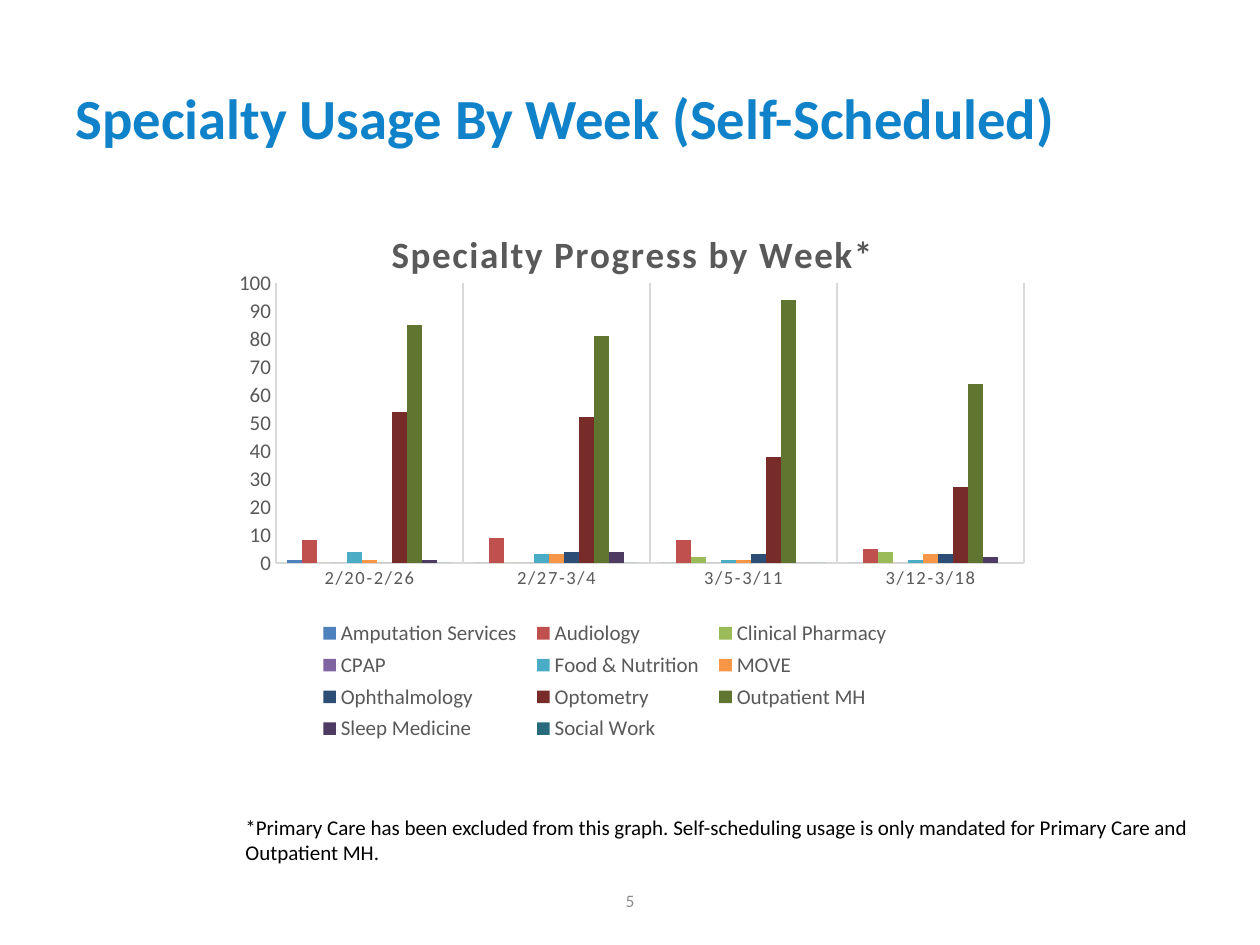
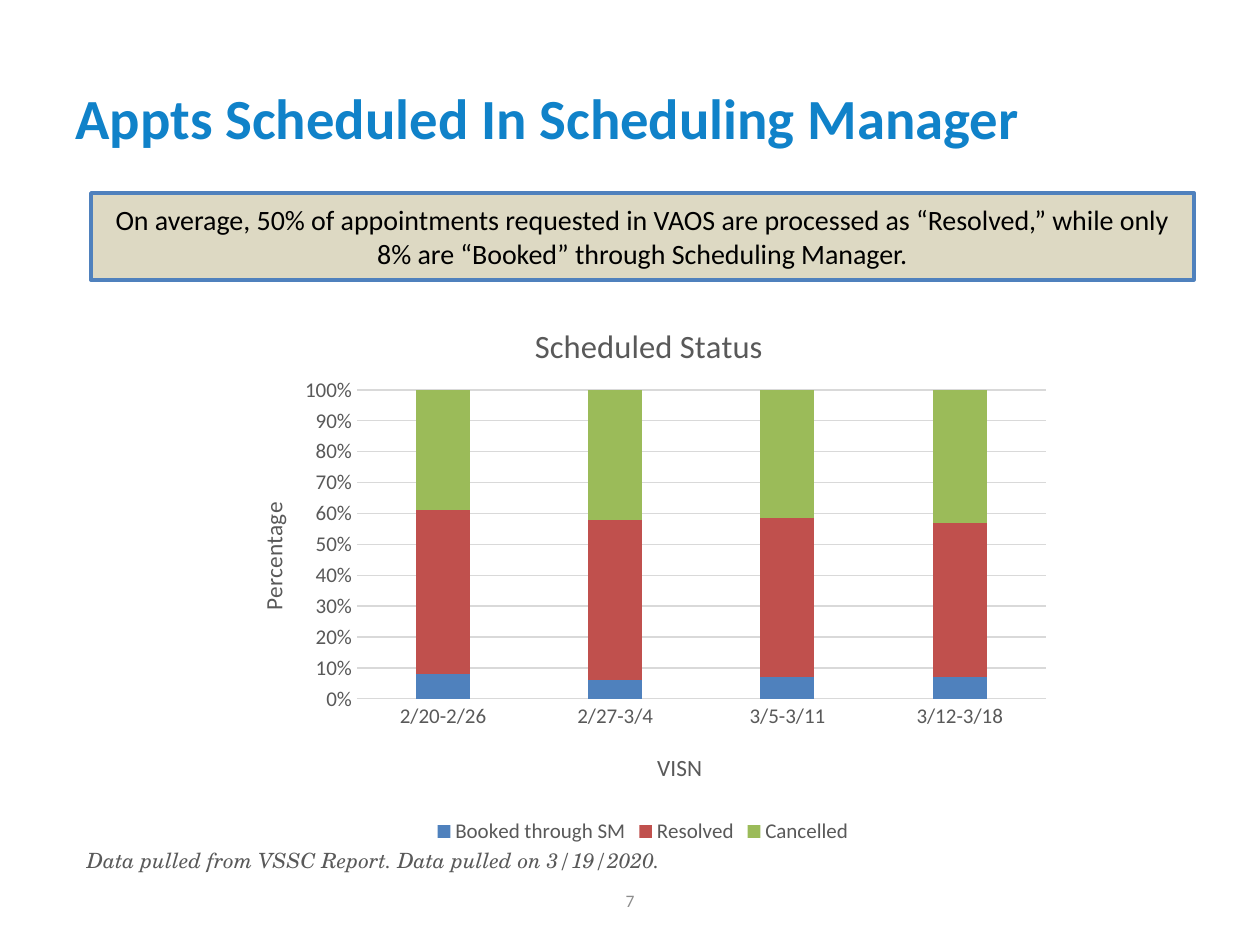
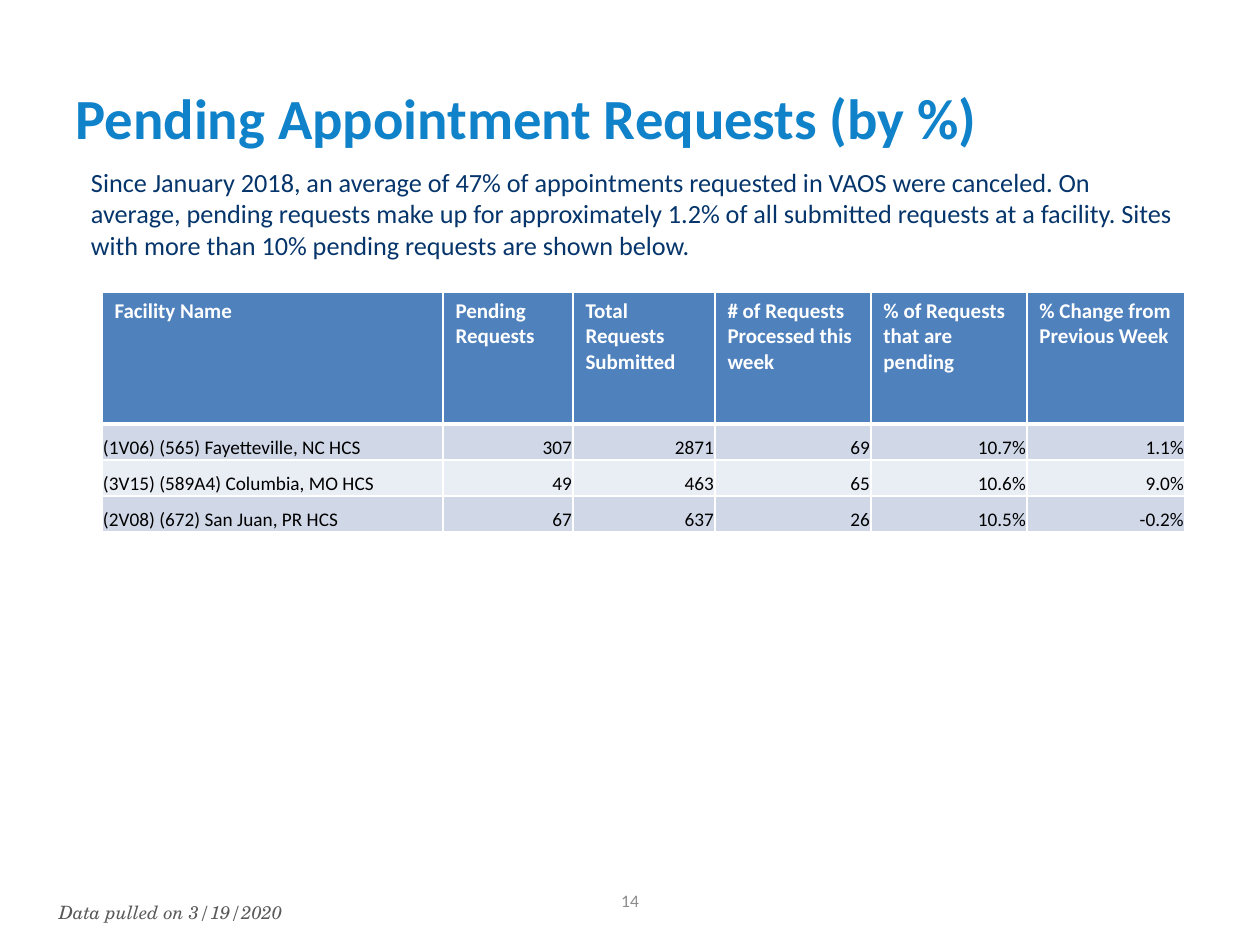
from pptx import Presentation
from pptx.chart.data import CategoryChartData
from pptx.dml.color import RGBColor
from pptx.enum.chart import XL_CHART_TYPE as ChartType
from pptx.enum.chart import XL_LEGEND_POSITION as LegendPosition
from pptx.enum.chart import XL_TICK_MARK as TickMark
from pptx.enum.shapes import MSO_SHAPE as Shape
from pptx.enum.text import MSO_ANCHOR as Anchor
from pptx.enum.text import MSO_AUTO_SIZE as AutoSize
from pptx.enum.text import PP_ALIGN as Align
from pptx.oxml import parse_xml
from pptx.oxml.ns import nsdecls, qn
from pptx.oxml.xmlchemy import OxmlElement
from pptx.util import Emu, Pt

EMU_PER_PX = 914400 / 126
SLIDE_SIZE = (1260, 945)
TITLE_LAYOUT, BODY_LAYOUT = 5, 1

SANS = "Calibri"
SERIF = "TeX Gyre Schola"

BLACK = RGBColor(0x00, 0x00, 0x00)
WHITE = RGBColor(0xFF, 0xFF, 0xFF)
TITLE_BLUE = RGBColor(0x10, 0x82, 0xC9)
NAVY = RGBColor(0x06, 0x35, 0x6B)
GRAY = RGBColor(0x59, 0x59, 0x59)
PAGE_GRAY = RGBColor(0x8C, 0x8C, 0x8C)
RULE_GRAY = RGBColor(0xD9, 0xD9, 0xD9)
TAN = RGBColor(0xDD, 0xD9, 0xC3)
BLUE = RGBColor(0x4F, 0x81, 0xBD)
BAND_DARK = RGBColor(0xD0, 0xD8, 0xE8)
BAND_LIGHT = RGBColor(0xE9, 0xED, 0xF4)
SERIES_COLORS = [
    BLUE,
    RGBColor(0xC0, 0x50, 0x4D),
    RGBColor(0x9B, 0xBB, 0x59),
    RGBColor(0x80, 0x64, 0xA2),
    RGBColor(0x4B, 0xAC, 0xC6),
    RGBColor(0xF7, 0x96, 0x46),
    RGBColor(0x2C, 0x4D, 0x75),
    RGBColor(0x77, 0x2C, 0x2A),
    RGBColor(0x5F, 0x75, 0x30),
    RGBColor(0x4D, 0x3B, 0x62),
    RGBColor(0x27, 0x6A, 0x7C),
]

WEEKS = ["2/20-2/26", "2/27-3/4", "3/5-3/11", "3/12-3/18"]
SPECIALTY_USAGE = {
    "Amputation Services": [1, 0, 0, 0],
    "Audiology": [8, 9, 8, 5],
    "Clinical Pharmacy": [0, 0, 2, 4],
    "CPAP": [0, 0, 0, 0],
    "Food & Nutrition": [4, 3, 1, 1],
    "MOVE": [1, 3, 1, 3],
    "Ophthalmology": [0, 4, 3, 3],
    "Optometry": [54, 52, 38, 27],
    "Outpatient MH": [85, 81, 94, 64],
    "Sleep Medicine": [1, 4, 0, 2],
    "Social Work": [0, 0, 0, None],
}
SCHEDULED_STATUS = {
    "Booked through SM": [8, 6, 7, 7],
    "Resolved": [53, 52, 51, 50],
    "Cancelled": [39, 42, 41, 43],
}
PENDING_COLUMNS = [341, 130, 142, 156, 156, 158]
PENDING_ROWS = [
    ["Facility Name", "Pending Requests", "Total Requests Submitted",
     "# of Requests Processed this week", "% of Requests that are pending",
     "% Change from Previous Week"],
    ["(1V06) (565) Fayetteville, NC HCS", "307", "2871", "69", "10.7%", "1.1%"],
    ["(3V15) (589A4) Columbia, MO HCS", "49", "463", "65", "10.6%", "9.0%"],
    ["(2V08) (672) San Juan, PR HCS", "67", "637", "26", "10.5%", "-0.2%"],
]


def px(length):
    return Emu(round(length * EMU_PER_PX))


def px_all(lengths):
    return [px(length) for length in lengths]


def write(frame, text, size=12, color=BLACK, font=SANS, bold=False,
          italic=False, align=Align.LEFT, spacing=None):
    """Put text in the first paragraph; spacing is between letters, in points."""
    para = frame.paragraphs[0]
    para.alignment = align
    span = para.add_run()
    span.text = text
    style_font(span.font, size, color, font)
    span.font.bold = bold
    span.font.italic = italic
    if spacing:
        span.font._element.set("spc", str(spacing * 100))
    return para


def style_font(font, size, color=GRAY, name=SANS):
    font.size = Pt(size)
    font.name = name
    font.color.rgb = color


def set_margins(frame, margin):
    frame.margin_left = frame.margin_right = px(margin)
    frame.margin_top = frame.margin_bottom = px(margin)


def move(shape, area):
    shape.left, shape.top, shape.width, shape.height = px_all(area)


def add_text(page, area, text, margin=None, anchor=Anchor.TOP, **text_format):
    frame = page.shapes.add_textbox(*px_all(area)).text_frame
    frame.word_wrap = True
    frame.vertical_anchor = anchor
    if margin is not None:
        set_margins(frame, margin)
    write(frame, text, **text_format)


def add_page(deck, layout, title, number, title_width=1134):
    page = deck.slides.add_slide(deck.slide_layouts[layout])
    move(page.shapes.title, (63, 38, title_width, 157))
    frame = page.shapes.title.text_frame
    frame.auto_size = AutoSize.NONE
    frame.vertical_anchor = Anchor.MIDDLE
    write(frame, title, size=32.4, color=TITLE_BLUE, bold=True)
    add_text(page, (483, 876, 294, 50), number, anchor=Anchor.MIDDLE,
             size=10, color=PAGE_GRAY, align=Align.CENTER)
    return page


def add_source_note(page, area, text, size):
    add_text(page, area, text, margin=0, size=size, color=GRAY,
             font=SERIF, italic=True)


def add_body(page, area, text):
    body = page.placeholders[1]
    move(body, area)
    frame = body.text_frame
    frame.auto_size = AutoSize.NONE
    set_margins(frame, 0)
    properties = frame.paragraphs[0]._p.get_or_add_pPr()
    properties.set("marL", "0")
    properties.set("indent", "0")
    properties.append(OxmlElement("a:buNone"))
    para = write(frame, text, size=15, color=NAVY)
    para.space_before = Pt(0)
    para.space_after = Pt(6)


def add_callout(page, area, text):
    box = page.shapes.add_shape(Shape.RECTANGLE, *px_all(area))
    box.shadow.inherit = False
    box.fill.solid()
    box.fill.fore_color.rgb = TAN
    box.line.color.rgb = BLUE
    box.line.width = Pt(2)
    box.text_frame.word_wrap = True
    box.text_frame.vertical_anchor = Anchor.MIDDLE
    write(box.text_frame, text, size=16, align=Align.CENTER)


def place(part, chart_area, left, top, width=None, height=None):
    """Fix a chart part at a slide position, given in px."""
    chart_left, chart_top, chart_width, chart_height = chart_area
    fractions = {"x": (left - chart_left) / chart_width,
                 "y": (top - chart_top) / chart_height}
    if width:
        fractions.update(w=width / chart_width, h=height / chart_height)
    target = '<c:layoutTarget val="inner"/>' if part.tag == qn("c:plotArea") else ""
    modes = '<c:xMode val="edge"/><c:yMode val="edge"/>'
    values = "".join(f'<c:{key} val="{value:.4f}"/>'
                     for key, value in fractions.items())
    layout = parse_xml(f'<c:layout {nsdecls("c")}><c:manualLayout>{target}{modes}'
                       f"{values}</c:manualLayout></c:layout>")
    for old in part.findall(qn("c:layout")):
        part.remove(old)
    before = [child for child in part
              if child.tag in (qn("c:tx"), qn("c:legendPos"))]
    part.insert(len(before), layout)


def rule(line):
    line.color.rgb = RULE_GRAY
    line.width = Pt(0.75)


def style_axis(axis, size=12, grid=False):
    axis.major_tick_mark = axis.minor_tick_mark = TickMark.NONE
    style_font(axis.tick_labels.font, size)
    rule(axis.format.line)
    axis.has_major_gridlines = grid
    if grid:
        rule(axis.major_gridlines.format.line)


def add_axis_title(axis, area, text, left, top):
    axis.has_title = True
    write(axis.axis_title.text_frame, text, size=13.3, color=GRAY)
    place(axis.axis_title._element, area, left, top)


def add_column_chart(page, area, chart_type, series, gap, plot_area,
                     legend_position):
    data = CategoryChartData()
    data.categories = WEEKS
    for name, values in series.items():
        data.add_series(name, values)
    chart = page.shapes.add_chart(chart_type, *px_all(area), data).chart
    style_font(chart.font, 10, BLACK)
    plot = chart.plots[0]
    plot.gap_width = gap
    plot.vary_by_categories = False
    for column, color in zip(plot.series, SERIES_COLORS):
        column.format.fill.solid()
        column.format.fill.fore_color.rgb = color
    chart.has_legend = True
    chart.legend.position = legend_position
    chart.legend.include_in_layout = False
    style_font(chart.legend.font, 12)
    place(chart._chartSpace.chart.plotArea, area, *plot_area)
    return chart


def add_chart_title(chart, area, text, left, top, **text_format):
    chart.has_title = True
    title = chart.chart_title
    write(title.text_frame, text, color=GRAY, **text_format)
    place(title._element, area, left, top)


def add_specialty_chart(page):
    area = (210, 193, 840, 560)
    chart = add_column_chart(page, area, ChartType.COLUMN_CLUSTERED,
                             SPECIALTY_USAGE, 150, (276, 283, 748, 280),
                             LegendPosition.TOP)
    add_chart_title(chart, area, "Specialty Progress by Week*", 385, 222,
                    size=21.2, bold=True, spacing=1)
    weeks, counts = chart.category_axis, chart.value_axis
    style_axis(weeks, size=10.6, grid=True)
    for defaults in weeks._element.iter(qn("a:defRPr")):
        defaults.set("spc", "100")
    style_axis(counts)
    counts.minimum_scale, counts.maximum_scale, counts.major_unit = 0, 100, 10
    place(chart.legend._element, area, 310, 614, 590, 134)


def add_status_chart(page):
    area = (223, 289, 840, 560)
    chart = add_column_chart(page, area, ChartType.COLUMN_STACKED_100,
                             SCHEDULED_STATUS, 219, (357, 390, 689, 309),
                             LegendPosition.BOTTOM)
    chart.plots[0].overlap = 100
    add_chart_title(chart, area, "Scheduled Status", 529, 317, size=18.6)
    weeks, shares = chart.category_axis, chart.value_axis
    style_axis(weeks)
    style_axis(shares, grid=True)
    shares.format.line.fill.background()
    shares.tick_labels.number_format = "0%"
    shares.tick_labels.number_format_is_linked = False
    add_axis_title(weeks, area, "VISN", 653, 747)
    add_axis_title(shares, area, "Percentage", 253, 498)
    turned = shares.axis_title.text_frame._txBody.bodyPr
    turned.set("rot", "-5400000")
    turned.set("vert", "horz")


def set_borders(cell, **widths):
    """Draw white borders; widths are points by side: L, R, T, B."""
    properties = cell._tc.get_or_add_tcPr()
    for side, width in widths.items():
        properties.append(parse_xml(
            f'<a:ln{side} {nsdecls("a")} w="{Pt(width)}"><a:solidFill>'
            f'<a:srgbClr val="{WHITE}"/></a:solidFill></a:ln{side}>'))


def fill_cell(cell, text, row, column):
    set_borders(cell, L=1, R=1, T=3 if row == 1 else 1, B=3 if row == 0 else 1)
    cell.fill.solid()
    if row == 0:
        cell.fill.fore_color.rgb = BLUE
        write(cell.text_frame, text, color=WHITE, bold=True)
        return
    cell.fill.fore_color.rgb = BAND_DARK if row % 2 else BAND_LIGHT
    cell.vertical_anchor = Anchor.BOTTOM
    set_margins(cell, 1)
    cell.margin_bottom = 0
    write(cell.text_frame, text, size=11,
          align=Align.RIGHT if column else Align.LEFT)


def add_pending_table(page, left, top, header_height=132, row_height=36):
    heights = [header_height] + [row_height] * (len(PENDING_ROWS) - 1)
    table = page.shapes.add_table(
        len(PENDING_ROWS), len(PENDING_COLUMNS),
        *px_all((left, top, sum(PENDING_COLUMNS), sum(heights)))).table
    table.horz_banding = False
    for column, width in zip(table.columns, PENDING_COLUMNS):
        column.width = px(width)
    for row, height in zip(table.rows, heights):
        row.height = px(height)
    for row, texts in enumerate(PENDING_ROWS):
        for column, text in enumerate(texts):
            fill_cell(table.cell(row, column), text, row, column)


def main():
    deck = Presentation()
    deck.slide_width, deck.slide_height = px_all(SLIDE_SIZE)

    page = add_page(deck, TITLE_LAYOUT,
                    "Specialty Usage By Week (Self-Scheduled)", "5",
                    title_width=1169)
    add_specialty_chart(page)
    add_text(page, (233, 808, 999, 63),
             "*Primary Care has been excluded from this graph. Self-scheduling "
             "usage is only mandated for Primary Care and Outpatient MH.")

    page = add_page(deck, TITLE_LAYOUT,
                    "Appts Scheduled In Scheduling Manager", "7")
    add_source_note(page, (87, 848, 1120, 25),
                    "Data pulled from VSSC Report. Data pulled on 3/19/2020.", 12)
    add_status_chart(page)
    add_callout(page, (91, 193, 1103, 87),
                "On average, 50% of appointments requested in VAOS are processed "
                "as “Resolved,” while only 8% are “Booked” through Scheduling "
                "Manager.")

    page = add_page(deck, BODY_LAYOUT,
                    "Pending Appointment Requests (by %)", "14")
    add_pending_table(page, 102, 292)
    add_source_note(page, (59, 901, 692, 35), "Data pulled on 3/19/2020", 10.5)
    add_body(page, (91, 166, 1082, 87),
             "Since January 2018, an average of 47% of appointments requested in "
             "VAOS were canceled. On average, pending requests make up for "
             "approximately 1.2% of all submitted requests at a facility. Sites "
             "with more than 10% pending requests are shown below.")

    deck.save("out.pptx")


if __name__ == "__main__":
    main()
